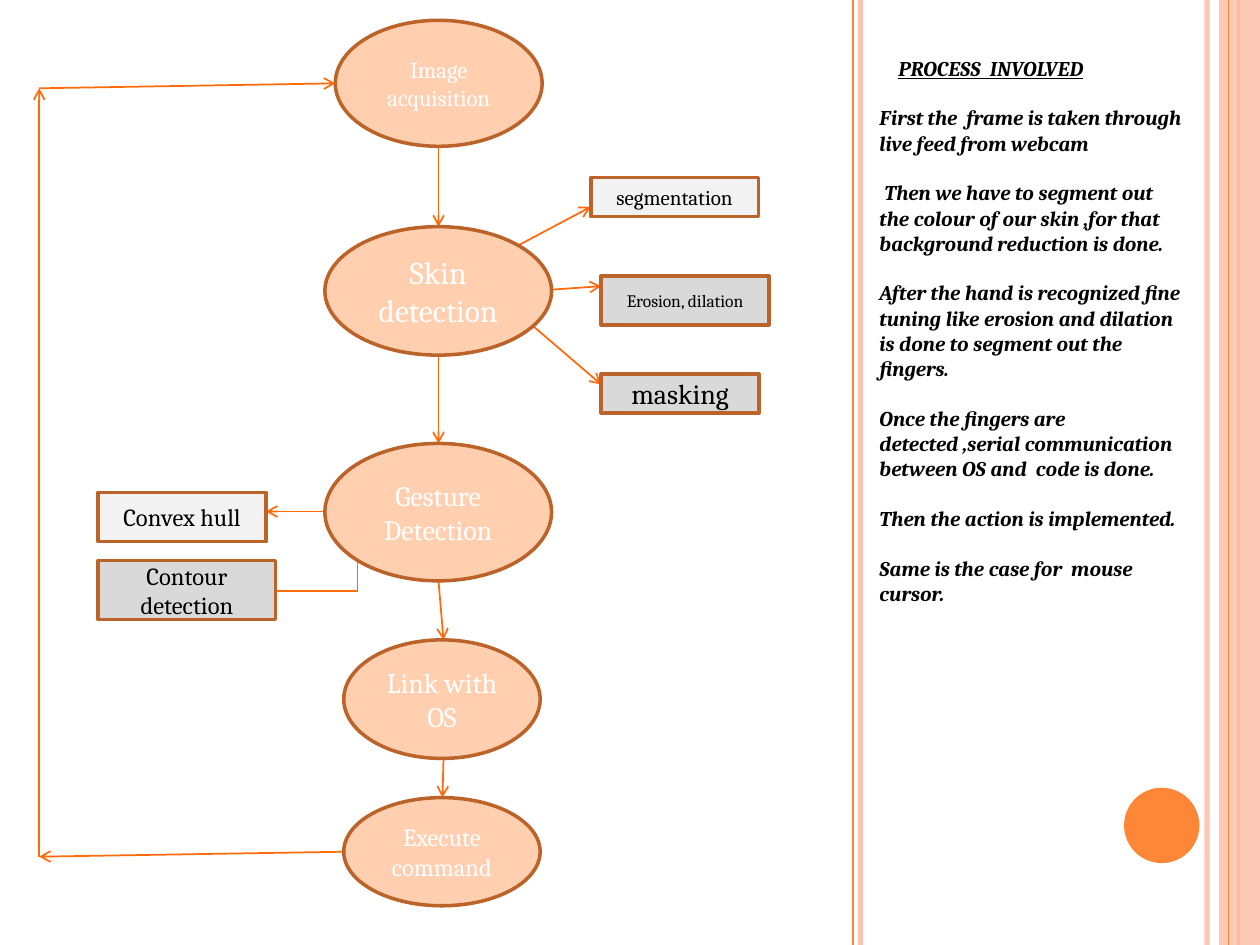
from lxml import etree
from pptx import Presentation
from pptx.dml.color import RGBColor
from pptx.enum import shapes, text
from pptx.oxml import ns
from pptx.util import Cm, Pt

ORANGE = RGBColor(0xFE, 0x86, 0x37)
PINK = RGBColor(0xFE, 0xC3, 0xAE)
PEACH = RGBColor(0xFF, 0xCF, 0xAF)
BROWN = RGBColor(0xBC, 0x63, 0x29)
ARROW = RGBColor(0xFF, 0x6B, 0x0A)
LIGHT = RGBColor(0xF2, 0xF2, 0xF2)
GREY = RGBColor(0xD9, 0xD9, 0xD9)
WHITE = RGBColor(0xFF, 0xFF, 0xFF)
BLACK = RGBColor(0, 0, 0)

OVAL = shapes.MSO_SHAPE.OVAL
RECTANGLE = shapes.MSO_SHAPE.RECTANGLE
FONT = "Cambria"

STEPS = [
    ("Image acquisition", 6.76, 0.41, 4.17, 2.54, 13),
    ("Skin detection", 6.55, 4.57, 4.57, 2.59, 18),
    ("Gesture Detection", 6.55, 8.94, 4.57, 2.77, 16),
    ("Link with OS", 6.93, 12.9, 3.96, 2.39, 16),
    ("Execute command", 6.93, 16.08, 3.96, 2.18, 14),
]
DETAILS = [
    ("segmentation", 11.91, 3.58, 3.38, 0.79, 12, LIGHT),
    ("Erosion, dilation", 12.12, 5.56, 3.38, 0.99, 10, GREY),
    ("masking", 12.12, 7.54, 3.18, 0.79, 16, GREY),
    ("Convex hull", 1.98, 9.93, 3.38, 0.99, 14, LIGHT),
    ("Contour detection", 1.98, 11.3, 3.58, 1.19, 14, GREY),
]
ARROWS = [
    (8.84, 2.95, 8.84, 4.57),
    (8.84, 7.14, 8.84, 8.94),
    (10.44, 4.95, 11.91, 4.17),
    (11.1, 5.84, 12.12, 5.77),
    (10.72, 6.55, 12.12, 7.75),
    (6.55, 10.31, 5.36, 10.31),
    (8.84, 11.71, 8.94, 12.9),
    (8.94, 15.29, 8.92, 16.08),
    (6.93, 17.17, 0.79, 17.27),
    (0.79, 17.27, 0.79, 1.78),
    (0.79, 1.78, 6.76, 1.68),
]
NOTES = [
    ("PROCESS  INVOLVED", 0.38),
    ("First the  frame is taken through live feed from webcam", 0),
    ("Then we have to segment out  the colour of our skin ,for that "
     "background reduction is done.", 0.1),
    ("After the hand is recognized fine tuning like erosion and dilation "
     "is done to segment out the fingers.", 0),
    ("Once the fingers are detected ,serial communication between OS and  "
     "code is done.", 0),
    ("Then the action is implemented.", 0),
    ("Same is the case for  mouse cursor.", 0),
]


def apply_formats(target, formats):
    for name, value in formats.items():
        setattr(target, name, value)


def set_opacity(shape, percent):
    for color in shape._element.spPr.iter(ns.qn("a:srgbClr")):
        etree.SubElement(color, ns.qn("a:alpha"), val=str(percent * 1000))


def add_line(slide, start, end, color, width, arrow=None, bent=False):
    kind = shapes.MSO_CONNECTOR.ELBOW if bent else shapes.MSO_CONNECTOR.STRAIGHT
    line = slide.shapes.add_connector(kind, *map(Cm, (*start, *end)))
    line.line.color.rgb = color
    line.line.width = Pt(width)
    properties = line._element.spPr
    if bent:
        properties.find(ns.qn("a:prstGeom")).set("prst", "bentConnector2")
    if arrow:
        etree.SubElement(line.line._get_or_add_ln(), ns.qn(arrow), type="arrow")
    etree.SubElement(properties, ns.qn("a:effectLst"))
    return line


def add_filled(slide, kind, left, top, width, height, fill, outline=None):
    shape = slide.shapes.add_shape(kind, *map(Cm, (left, top, width, height)))
    shape.shadow.inherit = False
    shape.fill.solid()
    shape.fill.fore_color.rgb = fill
    if outline:
        shape.line.color.rgb = outline
        shape.line.width = Pt(2)
    else:
        shape.line.fill.background()
    return shape


def add_node(slide, kind, box, label, size, fill, color):
    shape = add_filled(slide, kind, *box, fill, BROWN)
    frame = shape.text_frame
    apply_formats(frame, {"word_wrap": True, "vertical_anchor": text.MSO_ANCHOR.MIDDLE})
    paragraph = frame.paragraphs[0]
    paragraph.alignment = text.PP_ALIGN.CENTER
    run = paragraph.add_run()
    run.text = label
    apply_formats(run.font, {"name": FONT, "size": Pt(size)})
    run.font.color.rgb = color


def add_flowchart(slide, left, top):
    for x1, y1, x2, y2 in ARROWS:
        add_line(slide, (left + x1, top + y1), (left + x2, top + y2), ARROW, 1, "a:tailEnd")
    add_line(slide, (left + 5.16, top + 11.91), (left + 7.21, top + 11.3),
             ARROW, 1, "a:headEnd", bent=True)
    for label, x, y, width, height, size in STEPS:
        add_node(slide, OVAL, (left + x, top + y, width, height), label, size, PEACH, WHITE)
    for label, x, y, width, height, size, fill in DETAILS:
        add_node(slide, RECTANGLE, (left + x, top + y, width, height), label, size, fill, BLACK)


def add_sidebar(slide, left, top, height):
    def add_stripe(x, color, width):
        return add_line(slide, (left + x, top), (left + x, top + height), color, width)

    set_opacity(add_stripe(7.13, PINK, 3), 93)
    add_stripe(0.15, PINK, 3)
    add_stripe(0, ORANGE, 1)
    add_stripe(7.77, ORANGE, 1.5)
    set_opacity(add_filled(slide, RECTANGLE, left + 7.37, top, 0.83, height, PINK), 87)
    add_stripe(7.57, ORANGE, 0.75)
    add_filled(slide, OVAL, left + 5.46, top + 15.88, 1.52, 1.52, ORANGE)


def add_notes_text(slide, left, top, width, height):
    frame = slide.shapes.add_textbox(*map(Cm, (left, top, width, height))).text_frame
    frame.word_wrap = True
    for index, (content, indent) in enumerate(NOTES):
        paragraph = frame.add_paragraph() if index else frame.paragraphs[0]
        apply_formats(paragraph, {"space_before": Pt(4 if index else 0), "space_after": Pt(10)})
        paragraph._p.get_or_add_pPr().set("indent", str(Cm(indent)))
        run = paragraph.add_run()
        run.text = content
        apply_formats(run.font, {"name": FONT, "size": Pt(12), "bold": True,
                                 "italic": True, "underline": index == 0})
        run.font.color.rgb = BLACK


def main():
    presentation = Presentation()
    apply_formats(presentation, {"slide_width": Cm(25.4), "slide_height": Cm(19.05)})
    slide = presentation.slides.add_slide(presentation.slide_layouts[6])
    add_sidebar(slide, 17.2, 0, 19.05)
    add_notes_text(slide, 17.48, 0.99, 6.76, 13.61)
    add_flowchart(slide, 0, 0)
    presentation.save("out.pptx")


if __name__ == "__main__":
    main()
